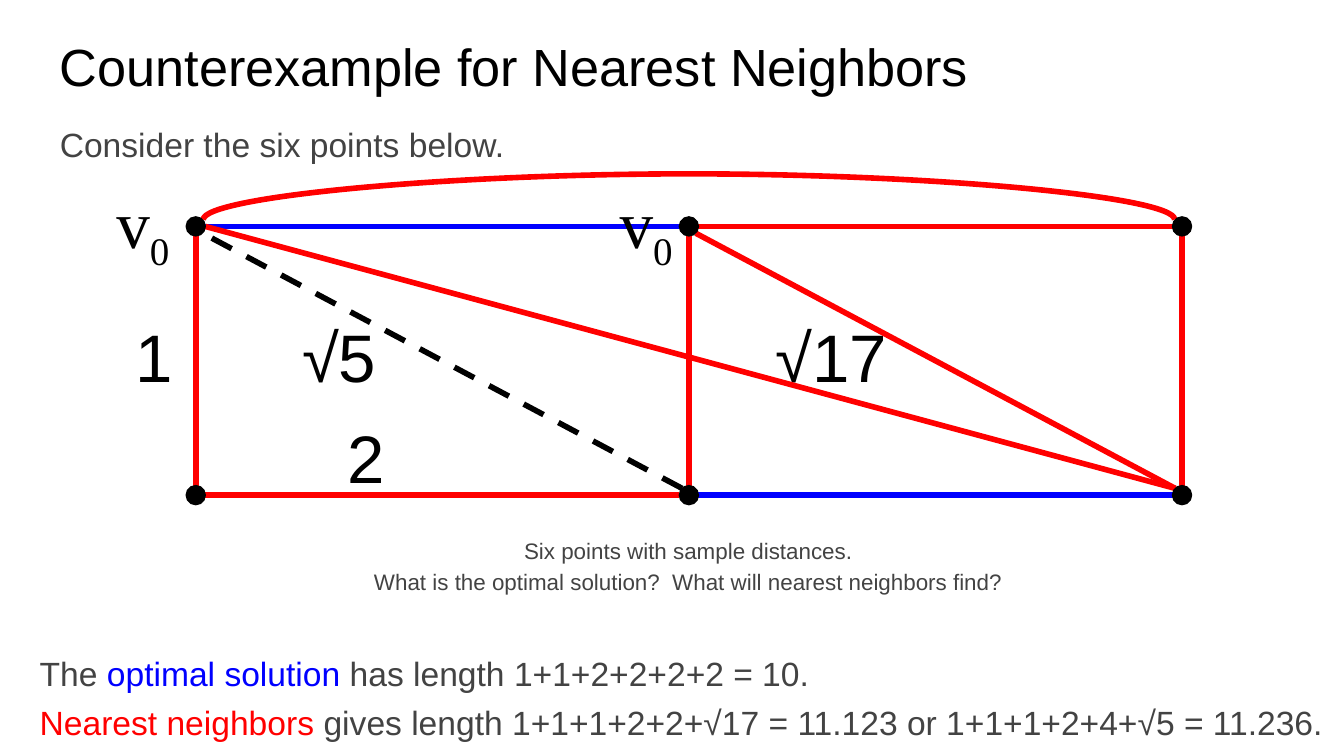
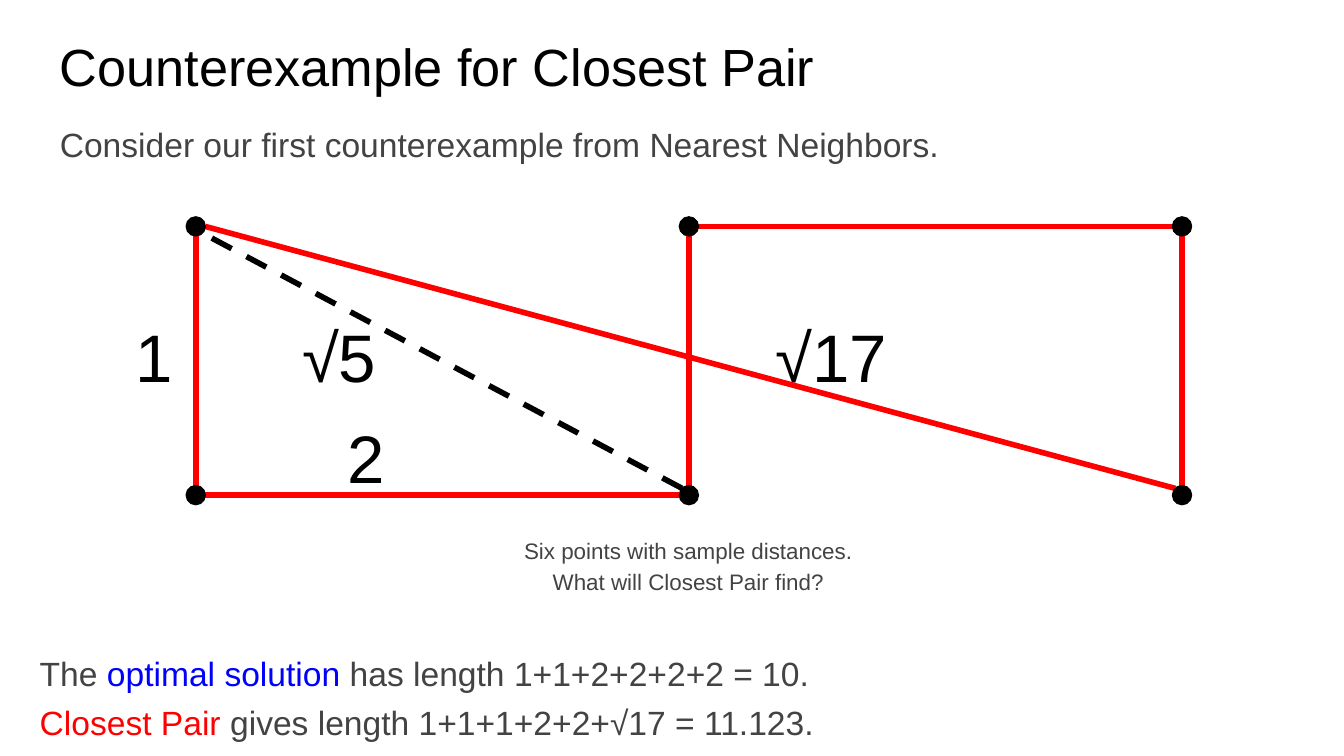
from lxml import etree
from pptx import Presentation
from pptx import util as u
from pptx.dml.color import RGBColor
from pptx.enum import dml, shapes, text
from pptx.oxml.ns import qn

COLORS = {"black": "000000", "grey": "434343", "blue": "0000FF", "red": "FF0000"}
SANS, SERIF = "Arial", "Times New Roman"
LEFT, CENTER = text.PP_ALIGN.LEFT, text.PP_ALIGN.CENTER

# Text boxes in cm: left, top, width, height
TITLE_BOX = (0.88, 0.39, 23.67, 1.6)
LEAD_BOX = (0.88, 1.98, 23.98, 2.39)
CAPTION_BOX = (2.24, 9.82, 21.54, 1.6)
OPTIMAL_BOX = (0.5, 11.97, 24.66, 1.04)
RESULT_BOX = (0.5, 12.9, 24.82, 1.04)

# Grid of the six points in cm, and where a line meets a dot
X0, Y0, DX, DY, RADIUS = 3.7, 4.28, 9.32, 5.08, 0.18
SITES = {"n": (0, -1), "s": (0, 1), "w": (-1, 0), "e": (1, 0),
         "nw": (-0.71, -0.71), "se": (0.71, 0.71)}

# Each end is column, row, site
EDGES = {
    "left": ((0, 1, "n"), (0, 0, "s")),
    "middle": ((1, 1, "n"), (1, 0, "s")),
    "right": ((2, 1, "n"), (2, 0, "s")),
    "top left": ((1, 0, "w"), (0, 0, "e")),
    "top right": ((2, 0, "w"), (1, 0, "e")),
    "bottom left": ((0, 1, "e"), (1, 1, "w")),
    "bottom right": ((1, 1, "e"), (2, 1, "w")),
    "diagonal left": ((1, 1, "nw"), (0, 0, "se")),
    "diagonal right": ((2, 1, "nw"), (1, 0, "se")),
    "long diagonal": ((2, 1, "nw"), (0, 0, "e")),
}
TOUR_17 = ["left", "bottom left", "long diagonal", "middle", "right", "top right"]


def rgb(name):
    return RGBColor.from_string(COLORS[name])


def add_run(p, words, size, color, font=SANS):
    r = p.add_run()
    r.text = words
    r.font.name, r.font.size, r.font.bold = font, u.Pt(size), False
    r.font.color.rgb = rgb(color)
    return r


def set_frame(tf):
    tf.word_wrap = True
    tf.auto_size = text.MSO_AUTO_SIZE.NONE
    tf.vertical_anchor = text.MSO_ANCHOR.TOP
    tf.margin_left = tf.margin_right = tf.margin_top = tf.margin_bottom = u.Cm(0.25)


def fill_placeholder(sp, box, paragraphs, size, align=LEFT, spacing=1.15):
    """Each paragraph is a list of (words, colour) runs."""
    sp.left, sp.top, sp.width, sp.height = map(u.Cm, box)
    tf = sp.text_frame
    set_frame(tf)
    for i, runs in enumerate(paragraphs):
        p = tf.add_paragraph() if i else tf.paragraphs[0]
        p.alignment, p.line_spacing = align, spacing
        p.space_before = p.space_after = u.Pt(0)
        pPr = p._p.get_or_add_pPr()
        pPr.set("marL", "0")
        pPr.set("indent", "0")
        etree.SubElement(pPr, qn("a:buNone"))
        for words, color in runs:
            add_run(p, words, size, color)


def add_label(s, words, left, top, width=1.96, font=SANS, subscript=""):
    sp = s.shapes.add_textbox(*map(u.Cm, (left, top, width, 1.83)))
    set_frame(sp.text_frame)
    p = sp.text_frame.paragraphs[0]
    p.alignment = CENTER
    add_run(p, words, 36, "black", font)
    if subscript:
        r = add_run(p, subscript, 36, "black", font)
        r.font._element.set("baseline", "-25000")


def style_line(cxn, color):
    cxn.line.color.rgb = rgb(color)
    cxn.line.width = u.Pt(3)
    etree.SubElement(cxn._element.spPr, qn("a:effectLst"))


def site_at(col, row, site):
    dx, dy = SITES[site]
    return u.Cm(X0 + col * DX + dx * RADIUS), u.Cm(Y0 + row * DY + dy * RADIUS)


def add_edges(s, names, color, dashed=False):
    for name in names:
        start, end = (site_at(*point) for point in EDGES[name])
        cxn = s.shapes.add_connector(shapes.MSO_CONNECTOR.STRAIGHT, *start, *end)
        if dashed:
            cxn.line.dash_style = dml.MSO_LINE.DASH
        style_line(cxn, color)


def add_arc(s, color):
    """Curve over the top row: a flat connector turned by 90 degrees."""
    span, flat, rise = u.Cm(18.36), 600, u.Cm(0.72)
    left = u.Cm(X0 + DX) - flat // 2
    top = u.Cm(Y0 - 0.71 * RADIUS) - span // 2
    cxn = s.shapes.add_connector(shapes.MSO_CONNECTOR.CURVE,
                                 left, top, left + flat, top + span)
    spPr = cxn._element.spPr
    spPr.find(qn("a:xfrm")).set("rot", "5400000")
    guides = spPr.find(qn("a:prstGeom")).get_or_add_avLst()
    etree.SubElement(guides, qn("a:gd"), name="adj1",
                     fmla=f"val {-rise * 100000 // flat}")
    style_line(cxn, color)


def add_dots(s):
    for row in range(2):
        for col in range(3):
            box = (X0 + col * DX - RADIUS, Y0 + row * DY - RADIUS,
                   2 * RADIUS, 2 * RADIUS)
            sp = s.shapes.add_shape(shapes.MSO_SHAPE.OVAL, *map(u.Cm, box))
            sp.shadow.inherit = False
            sp.fill.solid()
            sp.fill.fore_color.rgb = sp.line.color.rgb = rgb("black")
            sp.line.width = u.Pt(0.75)


def add_distances(s):
    add_edges(s, ["diagonal left"], "black", dashed=True)
    add_label(s, "1", 1.93, 5.72)
    add_label(s, "2", 5.94, 7.62)
    add_label(s, "√5", 4.72, 5.72, 3.38)
    add_label(s, "√17", 14.02, 5.72, 3.38)


def add_slide(prs, title, lead, question, method, result):
    s = prs.slides.add_slide(prs.slide_layouts.get_by_name("Comparison"))
    heading, intro, caption, optimal, outcome = s.placeholders
    fill_placeholder(heading, TITLE_BOX, [[(title, "black")]], 28, spacing=1)
    fill_placeholder(intro, LEAD_BOX, [[(lead, "grey")]], 18)
    fill_placeholder(caption, CAPTION_BOX,
                     [[("Six points with sample distances.", "grey")],
                      [(question, "grey")]], 12, CENTER)
    fill_placeholder(optimal, OPTIMAL_BOX,
                     [[("The ", "grey"), ("optimal solution", "blue"),
                       (" has length 1+1+2+2+2+2 = 10.", "grey")]], 18)
    fill_placeholder(outcome, RESULT_BOX,
                     [[(method, "red"), (f" gives length {result}", "grey")]], 18)
    add_distances(s)
    return s


def main():
    prs = Presentation()
    prs.slide_width, prs.slide_height = u.Cm(25.4), u.Cm(14.29)

    # Nearest neighbors: optimal edges in blue, both greedy tours in red
    s = add_slide(prs, "Counterexample for Nearest Neighbors",
                  "Consider the six points below.",
                  "What is the optimal solution?  What will nearest neighbors find?",
                  "Nearest neighbors",
                  "1+1+1+2+2+√17 = 11.123 or 1+1+1+2+4+√5 = 11.236.")
    add_edges(s, ["top left", "bottom right"], "blue")
    add_edges(s, ["diagonal right"] + TOUR_17, "red")
    add_arc(s, "red")
    add_dots(s)
    for left in (1.72, 11.23):
        add_label(s, "v", left, 3.18, font=SERIF, subscript="0")

    # Closest pair: its tour in red
    s = add_slide(prs, "Counterexample for Closest Pair",
                  "Consider our first counterexample from Nearest Neighbors.",
                  "What will Closest Pair find?",
                  "Closest Pair", "1+1+1+2+2+√17 = 11.123.")
    add_edges(s, TOUR_17, "red")
    add_dots(s)

    prs.save("out.pptx")


main()
